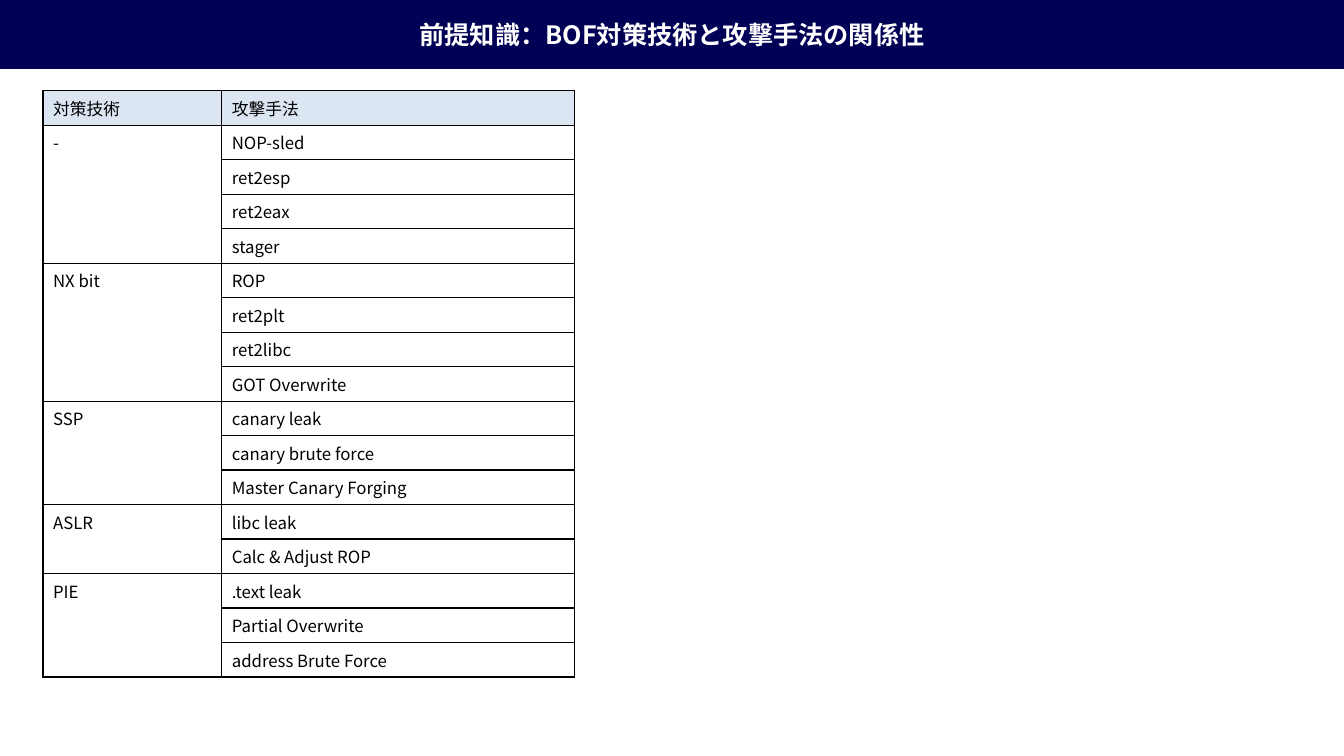
from dataclasses import dataclass

from pptx import Presentation
from pptx.dml.color import RGBColor
from pptx.enum.text import MSO_ANCHOR as Anchor, MSO_AUTO_SIZE as Fit, PP_ALIGN as Align
from pptx.oxml.ns import qn
from pptx.util import Inches, Length, Pt
from lxml.etree import SubElement as Sub

NAVY = RGBColor(0x00, 0x00, 0x54)
PALE = RGBColor(0xDC, 0xE6, 0xF2)
WHITE = RGBColor(0xFF, 0xFF, 0xFF)
BLACK = RGBColor(0x00, 0x00, 0x00)
FONT = "Noto Sans CJK JP"
WIDE, HIGH = Inches(13.33), Inches(7.5)


@dataclass(frozen=True)
class Guard:
    name: str
    hacks: tuple[str, ...]


HEAD = ("対策技術", "攻撃手法")
GUARDS = (
    Guard("-", ("NOP-sled", "ret2esp", "ret2eax", "stager")),
    Guard("NX bit", ("ROP", "ret2plt", "ret2libc", "GOT Overwrite")),
    Guard("SSP", ("canary leak", "canary brute force", "Master Canary Forging")),
    Guard("ASLR", ("libc leak", "Calc & Adjust ROP")),
    Guard("PIE", (".text leak", "Partial Overwrite", "address Brute Force")),
)


def across(share: float) -> Length:
    """Turn a percentage of the slide's width into a length."""
    return Length(int(WIDE * share / 100))


def down(share: float) -> Length:
    """Turn a percentage of the slide's height into a length."""
    return Length(int(HIGH * share / 100))


def write(frame, text: str, size: int, color: RGBColor, bold: bool = False) -> None:
    run = frame.paragraphs[0].add_run()
    run.text = text
    font = run.font
    font.name, font.size, font.bold = FONT, Pt(size), bold
    font.color.rgb = color
    Sub(run._r.get_or_add_rPr(), qn("a:ea"), typeface=FONT)


def style(cell, fill: RGBColor) -> None:
    """Give a cell thin black borders and a plain fill."""
    props = cell._tc.get_or_add_tcPr()
    for side in ("lnL", "lnR", "lnT", "lnB"):
        line = Sub(props, qn(f"a:{side}"), w=str(Pt(1)))
        Sub(Sub(line, qn("a:solidFill")), qn("a:srgbClr"), val=str(BLACK))
    cell.fill.solid()
    cell.fill.fore_color.rgb = fill


def add_title(slide, text: str) -> None:
    title = slide.shapes.title
    title.left, title.top, title.width, title.height = 0, 0, WIDE, down(9.1)
    title.fill.solid()
    title.fill.fore_color.rgb = NAVY
    frame = title.text_frame
    frame.auto_size = Fit.NONE
    frame.vertical_anchor = Anchor.MIDDLE
    frame.paragraphs[0].alignment = Align.CENTER
    write(frame, text, 18, WHITE, True)


def add_grid(slide) -> None:
    count = 1 + sum(len(guard.hacks) for guard in GUARDS)
    cols = (across(13.3), across(26.25))
    grid = slide.shapes.add_table(
        count, len(cols), across(3.2), down(12), sum(cols), down(4.56) * count
    ).table
    for col, width in zip(grid.columns, cols):
        col.width = width
    for row in range(count):
        for col in range(len(cols)):
            style(grid.cell(row, col), WHITE if row else PALE)
    for col, text in enumerate(HEAD):
        write(grid.cell(0, col).text_frame, text, 12, BLACK)
    top = 1
    for guard in GUARDS:
        end = top + len(guard.hacks)
        first = grid.cell(top, 0)
        first.merge(grid.cell(end - 1, 0))
        write(first.text_frame, guard.name, 12, BLACK)
        for row, hack in enumerate(guard.hacks, top):
            write(grid.cell(row, 1).text_frame, hack, 12, BLACK)
        top = end


def main() -> None:
    deck = Presentation()
    deck.slide_width, deck.slide_height = WIDE, HIGH
    slide = deck.slides.add_slide(deck.slide_layouts.get_by_name("Title Only"))
    add_title(slide, "前提知識：BOF対策技術と攻撃手法の関係性")
    add_grid(slide)
    deck.save("out.pptx")


if __name__ == "__main__":
    main()
